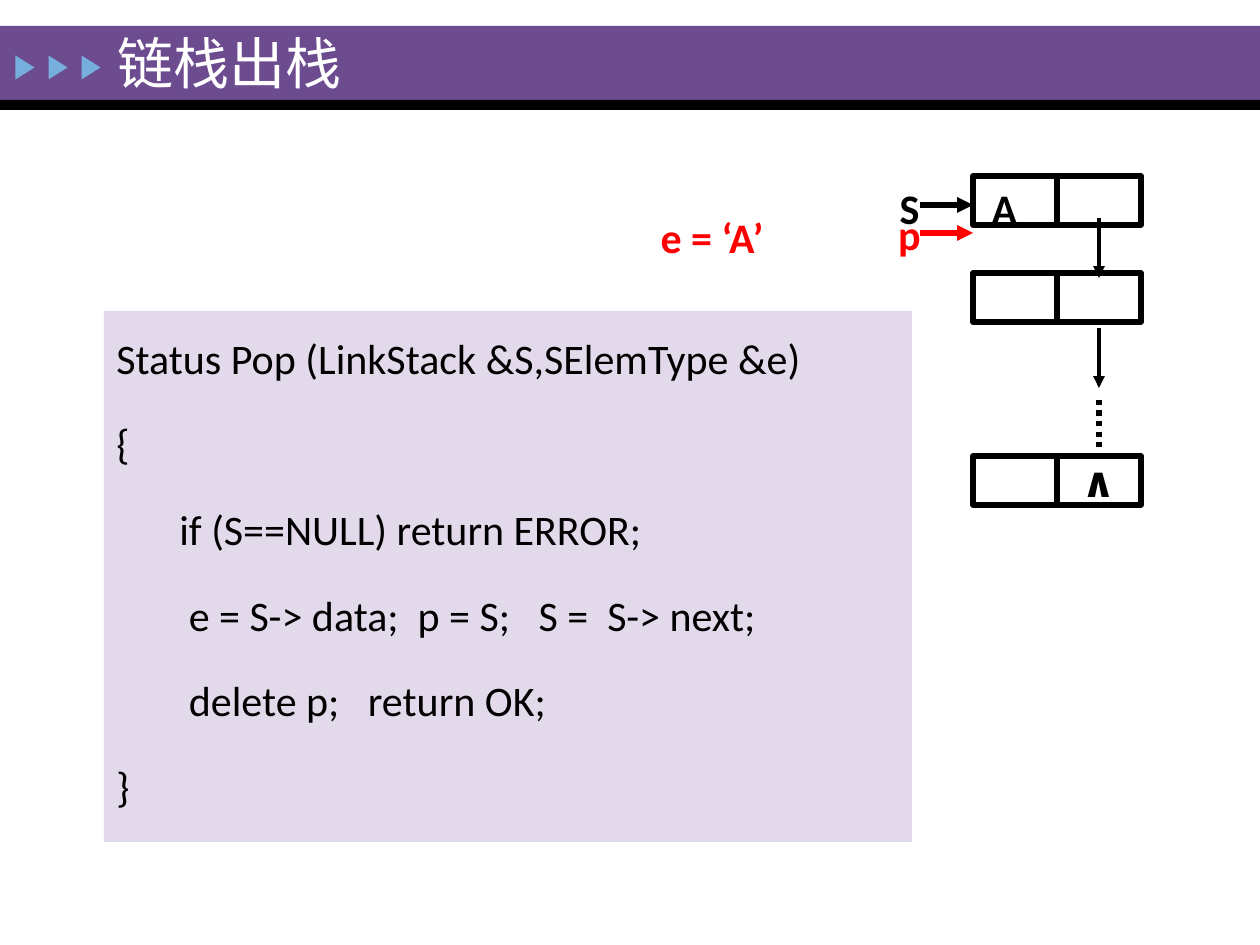
from dataclasses import dataclass

from pptx import Presentation
from pptx.dml.color import RGBColor
from pptx.enum.dml import MSO_LINE
from pptx.enum.shapes import MSO_CONNECTOR, MSO_SHAPE
from pptx.enum.text import MSO_ANCHOR, PP_ALIGN
from pptx.oxml.ns import qn
from pptx.util import Emu, Pt
from lxml.etree import SubElement

SCALE = 914400 // 126  # EMU in one px


@dataclass(frozen=True)
class Theme:
    font: str = "Calibri"
    title_size: int = 32
    body_size: int = 24
    purple: str = "6C4C8F"
    lilac: str = "E2D9EB"
    blue: str = "76AEDD"
    red: str = "FF0000"
    black: str = "000000"
    white: str = "FFFFFF"


THEME = Theme()

NODE_X, NODE_W, NODE_H = 973, 168, 49
NODE_TOPS = (176, 273, 456)
NEXT_X = 1099  # middle of the pointer field

CODE = (
    ("Status Pop (LinkStack &S,SElemType &e)", 0),
    ("{", 0),
    ("if (S==NULL) return ERROR;", 1),
    (" e = S-> data;  p = S;   S =  S-> next;", 1),
    (" delete p;   return OK;", 1),
    ("}", 0),
)


def px(n):
    return Emu(n * SCALE)


def box(*lengths):
    return [px(n) for n in lengths]


def rgb(color):
    return RGBColor.from_string(color)


def style(p, size, color, bold=False):
    p.font.name = THEME.font
    p.font.size = Pt(size)
    p.font.bold = bold
    p.font.color.rgb = rgb(color)


def add_shape(s, kind, bounds, fill, line=None):
    sp = s.shapes.add_shape(kind, *box(*bounds))
    sp.shadow.inherit = False
    sp.fill.solid()
    sp.fill.fore_color.rgb = rgb(fill)
    if line:
        sp.line.color.rgb = rgb(line)
        sp.line.width = Pt(3)
    else:
        sp.line.fill.background()
    return sp


def add_line(s, start, end, color=THEME.black, width=3, arrow=False):
    c = s.shapes.add_connector(MSO_CONNECTOR.STRAIGHT, *box(*start, *end))
    c.line.color.rgb = rgb(color)
    c.line.width = Pt(width)
    SubElement(c.element.spPr, qn("a:effectLst"))
    if arrow:
        SubElement(c.line._get_or_add_ln(), qn("a:tailEnd"), type="triangle")
    return c


def add_label(s, text, bounds, color=THEME.black):
    tf = s.shapes.add_textbox(*box(*bounds)).text_frame
    tf.word_wrap = True
    p = tf.paragraphs[0]
    p.text = text
    p.alignment = PP_ALIGN.CENTER
    style(p, THEME.body_size, color, bold=True)


def add_node(s, top):
    node = add_shape(s, MSO_SHAPE.RECTANGLE, (NODE_X, top, NODE_W, NODE_H),
                     THEME.white, THEME.black)
    middle = NODE_X + NODE_W // 2
    divider = add_line(s, (middle, top), (middle, top + NODE_H))
    divider.begin_connect(node, 0)
    divider.end_connect(node, 2)


def add_header(s, text):
    # Bars and the three pointers
    add_shape(s, MSO_SHAPE.RECTANGLE, (0, 26, 1260, 75), THEME.purple)
    add_shape(s, MSO_SHAPE.RECTANGLE, (0, 100, 1260, 10), THEME.black)
    for i in range(3):
        sp = add_shape(s, MSO_SHAPE.ISOSCELES_TRIANGLE,
                       (13 + 33 * i, 58, 24, 19), THEME.blue)
        sp.rotation = 90

    # Title, raised above the bars
    title = s.shapes.title
    title.left, title.top, title.width, title.height = box(105, 35, 882, 63)
    title.element.getparent().append(title.element)
    tf = title.text_frame
    tf.text = text
    tf.vertical_anchor = MSO_ANCHOR.MIDDLE
    p = tf.paragraphs[0]
    p.alignment = PP_ALIGN.LEFT
    p.line_spacing = 0.9
    style(p, THEME.title_size, THEME.white)


def add_linked_stack(s):
    for top in NODE_TOPS:
        add_node(s, top)

    # Links between the nodes
    for top in (218, 328):
        add_line(s, (NEXT_X, top), (NEXT_X, top + 60), width=2.25, arrow=True)
    dots = add_line(s, (NEXT_X, 400), (NEXT_X, 448))
    dots.line.dash_style = MSO_LINE.ROUND_DOT
    add_label(s, "∧", (1067, 449, 63, 63))

    # Pointers S and p, and the popped value
    add_line(s, (920, 205), (NODE_X, 205), arrow=True)
    add_label(s, "S", (878, 176, 63, 63))
    add_label(s, "A", (NODE_X, 176, 63, 63))
    add_label(s, "e = ‘A’", (602, 205, 220, 63), THEME.red)
    add_line(s, (920, 233), (NODE_X, 233), THEME.red, arrow=True)
    add_label(s, "p", (878, 202, 63, 63), THEME.red)


def add_code(s, lines, bounds):
    sp = add_shape(s, MSO_SHAPE.RECTANGLE, bounds, THEME.lilac)
    tf = sp.text_frame
    tf.word_wrap = True
    tf.vertical_anchor = MSO_ANCHOR.TOP
    for i, (text, level) in enumerate(lines):
        p = tf.add_paragraph() if i else tf.paragraphs[0]
        p.text = text
        p.level = level
        p.alignment = PP_ALIGN.LEFT
        p.line_spacing = 1.3
        p.space_before = Pt(11.5 if i else 0)
        p._p.get_or_add_pPr().set("marL", str(px(63 * level)))
        style(p, THEME.body_size, THEME.black)


def main():
    prs = Presentation()
    prs.slide_width, prs.slide_height = box(1260, 945)
    s = prs.slides.add_slide(prs.slide_layouts[5])
    add_header(s, "链栈出栈")
    add_linked_stack(s)
    add_code(s, CODE, (104, 311, 808, 531))
    prs.save("out.pptx")


if __name__ == "__main__":
    main()
